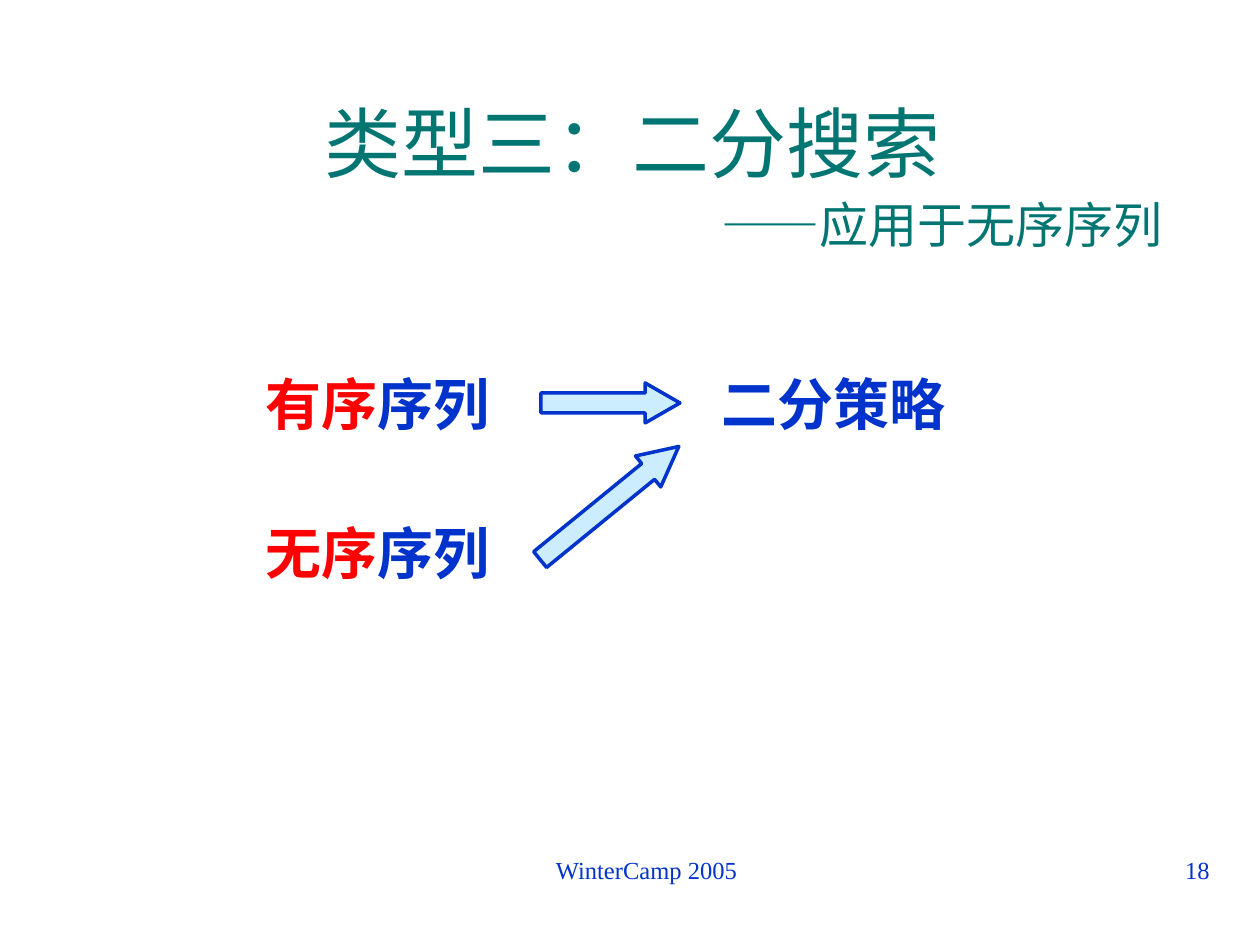
from dataclasses import dataclass

import pptx
import pptx.dml.color
import pptx.enum.shapes
import pptx.enum.text
import pptx.util

ALIGN = pptx.enum.text.PP_ALIGN
ANCHOR = pptx.enum.text.MSO_ANCHOR
PX_PER_INCH = 126


@dataclass(frozen=True)
class Theme:
    title: str = "007572"
    body: str = "0033CC"
    accent: str = "FF0000"
    arrow: str = "CCECFF"
    sans: str = "Arial"
    serif: str = "Times New Roman"
    title_pt: int = 44
    subtitle_pt: int = 28
    body_pt: int = 32
    footer_pt: int = 14


@dataclass(frozen=True)
class Box:
    left: int
    top: int
    width: int
    height: int


@dataclass(frozen=True)
class Label:
    box: Box
    accent: str
    rest: str


@dataclass(frozen=True)
class Arrow:
    box: Box
    rotation: float
    shaft: float
    head: float


@dataclass(frozen=True)
class Footer:
    box: Box
    text: str
    align: ALIGN


THEME = Theme()
LEFT_X, RIGHT_X = 253, 709
ORDERED_Y, UNORDERED_Y = 363, 512
LABEL_W, LABEL_H = 268, 81
FOOTER_INDENT = 30

LABELS = [
    Label(Box(RIGHT_X, ORDERED_Y, LABEL_W, LABEL_H), "", "二分策略"),
    Label(Box(LEFT_X, ORDERED_Y, LABEL_W, LABEL_H), "有序", "序列"),
    Label(Box(LEFT_X, UNORDERED_Y, LABEL_W, LABEL_H), "无序", "序列"),
]
ARROWS = [
    Arrow(Box(541, 383, 139, 40), 0, 0.5, 0.87),
    Arrow(Box(520, 483, 179, 40), 320.8, 0.51, 0.99),
]
FOOTERS = [
    Footer(Box(432, 849, 399, 66), "WinterCamp 2005", ALIGN.CENTER),
    Footer(Box(907, 849, 315, 66), "18", ALIGN.RIGHT),
]


def px(n: int) -> pptx.util.Emu:
    return pptx.util.Emu(round(n * 914400 / PX_PER_INCH))


def rgb(color: str) -> pptx.dml.color.RGBColor:
    return pptx.dml.color.RGBColor.from_string(color)


def place(sp, box: Box) -> None:
    sp.left, sp.top = px(box.left), px(box.top)
    sp.width, sp.height = px(box.width), px(box.height)


def add_run(p, text: str, size: int, color: str, font: str = THEME.sans,
            bold: bool = False) -> None:
    r = p.add_run()
    r.text = text
    r.font.size = pptx.util.Pt(size)
    r.font.name = font
    r.font.bold = bold
    r.font.color.rgb = rgb(color)


def indent(p, margin: int) -> None:
    pPr = p._p.get_or_add_pPr()
    pPr.set("marL", str(px(margin)))
    pPr.set("indent", "0")


def add_text_box(s, box: Box, anchor: ANCHOR):
    """Add an empty wrapping text box and return its first paragraph."""
    sp = s.shapes.add_textbox(*map(px, (box.left, box.top, box.width, box.height)))
    tf = sp.text_frame
    tf.word_wrap = True
    tf.vertical_anchor = anchor
    return tf.paragraphs[0]


def draw_title(s) -> None:
    sp = s.shapes.title
    place(sp, Box(44, 96, 1177, 157))
    tf = sp.text_frame
    tf.word_wrap = True
    tf.auto_size = pptx.enum.text.MSO_AUTO_SIZE.NONE
    tf.vertical_anchor = ANCHOR.MIDDLE
    p = tf.paragraphs[0]
    p.alignment = ALIGN.CENTER
    add_run(p, "类型三：二分搜索", THEME.title_pt, THEME.title)
    p = tf.add_paragraph()
    p.alignment = ALIGN.LEFT
    p.space_before = pptx.util.Pt(4)
    indent(p, 665)
    add_run(p, "——应用于无序序列", THEME.subtitle_pt, THEME.title)


def draw_label(s, label: Label) -> None:
    p = add_text_box(s, label.box, ANCHOR.MIDDLE)
    for text, color in ((label.accent, THEME.accent), (label.rest, THEME.body)):
        if text:
            add_run(p, text, THEME.body_pt, color, bold=True)


def draw_arrow(s, arrow: Arrow) -> None:
    b = arrow.box
    sp = s.shapes.add_shape(pptx.enum.shapes.MSO_SHAPE.RIGHT_ARROW,
                            *map(px, (b.left, b.top, b.width, b.height)))
    sp.rotation = arrow.rotation
    sp.adjustments[0], sp.adjustments[1] = arrow.shaft, arrow.head
    sp.shadow.inherit = False
    sp.fill.solid()
    sp.fill.fore_color.rgb = rgb(THEME.arrow)
    sp.line.color.rgb = rgb(THEME.body)
    sp.line.width = pptx.util.Pt(2)


def draw_footer(s, footer: Footer) -> None:
    p = add_text_box(s, footer.box, ANCHOR.TOP)
    p.alignment = footer.align
    indent(p, FOOTER_INDENT)
    add_run(p, footer.text, THEME.footer_pt, THEME.body, THEME.serif)


def main() -> None:
    prs = pptx.Presentation()
    prs.slide_width, prs.slide_height = px(1260), px(945)
    s = prs.slides.add_slide(prs.slide_layouts[5])
    draw_title(s)
    for label in LABELS:
        draw_label(s, label)
    for arrow in ARROWS:
        draw_arrow(s, arrow)
    for footer in FOOTERS:
        draw_footer(s, footer)
    prs.save("out.pptx")


if __name__ == "__main__":
    main()
